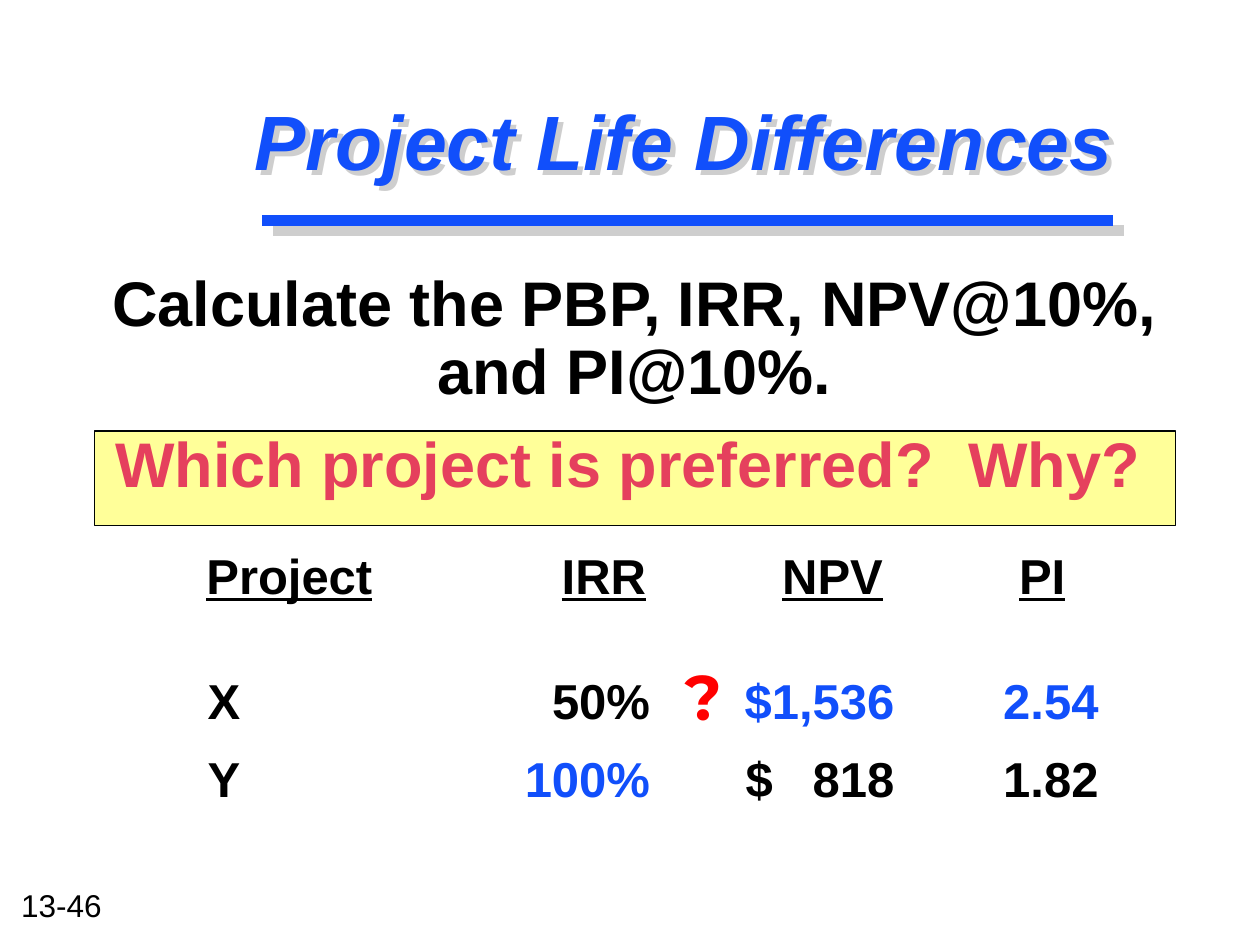
from lxml import etree
from pptx import Presentation
from pptx.dml.color import RGBColor
from pptx.enum import shapes, text
from pptx.oxml.ns import qn
from pptx.util import Inches, Pt

BLUE = RGBColor(0x11, 0x4F, 0xFB)
GREY = RGBColor(0xCE, 0xCE, 0xCE)
YELLOW = RGBColor(0xFF, 0xFF, 0x99)
EDGE = RGBColor(0x00, 0x04, 0x04)
BLACK = RGBColor(0x00, 0x00, 0x00)
ROSE = RGBColor(0xE5, 0x40, 0x5D)
RED = RGBColor(0xFF, 0x00, 0x00)


def place(holder, left, top, width, height):
    holder.left, holder.top = Inches(left), Inches(top)
    holder.width, holder.height = Inches(width), Inches(height)
    holder.text_frame.word_wrap = True
    holder.text_frame.auto_size = text.MSO_AUTO_SIZE.NONE


prs = Presentation()
prs.slide_width, prs.slide_height = Inches(10), Inches(7.5)
slide = prs.slides.add_slide(prs.slide_layouts[1])
title, task = slide.placeholders

# Band behind the question
band = slide.shapes.add_shape(
    shapes.MSO_SHAPE.RECTANGLE, Inches(0.75), Inches(3.42), Inches(8.58), Inches(0.75))
band.shadow.inherit = False
band.fill.solid()
band.fill.fore_color.rgb = YELLOW
band.line.color.rgb = EDGE
band.line.width = Pt(1)
slide.shapes._spTree.insert(2, band._element)

# Title with its shadow and double rule
place(title, 1.92, 0.31, 8, 1.6)
title.text_frame.text = "Project Life Differences"
title.text_frame.vertical_anchor = text.MSO_ANCHOR.MIDDLE
heading = title.text_frame.paragraphs[0]
heading.alignment = text.PP_ALIGN.LEFT
heading_font = heading.runs[0].font
heading_font.name, heading_font.size = "Arial", Pt(44)
heading_font.bold = heading_font.italic = True
heading_font.color.rgb = BLUE
title.fill.background()
effects = etree.SubElement(title._element.spPr, qn("a:effectLst"))
shadow = etree.SubElement(effects, qn("a:outerShdw"), dist=str(Pt(4)), dir="2700000")
etree.SubElement(shadow, qn("a:srgbClr"), val=str(GREY))

for left, top, colour in ((2.17, 1.83, GREY), (2.08, 1.75, BLUE)):
    rule = slide.shapes.add_connector(
        shapes.MSO_CONNECTOR.STRAIGHT,
        Inches(left), Inches(top), Inches(left + 6.75), Inches(top))
    rule.line.color.rgb = colour
    rule.line.width = Pt(6)
    etree.SubElement(rule._element.spPr, qn("a:effectLst"))

# Task and question
place(task, 0.62, 2.11, 8.83, 2.06)
task.text_frame.text = "Calculate the PBP, IRR, NPV@10%, and PI@10%.\nWhich project is preferred?  Why?"
for line, colour, before, right in zip(
        task.text_frame.paragraphs, (BLACK, ROSE), (0, 7.2), (0, 0.1)):
    props = line._p.get_or_add_pPr()
    for side, margin in (("marL", 0), ("marR", right), ("indent", 0)):
        props.set(side, str(Inches(margin)))
    etree.SubElement(props, qn("a:buNone"))
    line.alignment = text.PP_ALIGN.CENTER
    line.line_spacing = 0.9
    line.space_before, line.space_after = Pt(before), Pt(7.2)
    font = line.runs[0].font
    font.name, font.size, font.bold = "Arial", Pt(36), True
    font.color.rgb = colour

# Project figures, the better value of each measure in blue
figures = slide.shapes.add_textbox(0, 0, 0, 0)
place(figures, 0.47, 4.28, 9.17, 2.56)
heads = [("Project", 1.07), ("IRR", 3.89), ("NPV", 5.64), ("PI", 7.52)]
head_pieces = []
for head, position in heads:
    head_pieces += [("\t", BLACK, False), (head, BLACK, True)]
name_tab, irr_tab, dollar_tab, npv_tab, pi_tab = (
    (1.08, "l"), (4.59, "r"), (5.35, "l"), (6.53, "r"), (8.15, "r"))
rows = [
    (head_pieces, [(position, "l") for head, position in heads], 0),
    ([("\tX\t50%", BLACK, False), ("\t$1,536\t2.54", BLUE, False)],
     [name_tab, irr_tab, npv_tab, pi_tab], 32),
    ([("\tY", BLACK, False), ("\t100%", BLUE, False), ("\t$\t818\t1.82", BLACK, False)],
     [name_tab, irr_tab, dollar_tab, npv_tab, pi_tab], 5.6),
]
for number, (pieces, tabs, before) in enumerate(rows):
    line = figures.text_frame.add_paragraph() if number else figures.text_frame.paragraphs[0]
    stops = etree.SubElement(line._p.get_or_add_pPr(), qn("a:tabLst"))
    for position, alignment in tabs:
        etree.SubElement(stops, qn("a:tab"), pos=str(Inches(position)), algn=alignment)
    line.space_before, line.space_after = Pt(before), Pt(5.6)
    for wording, colour, underlined in pieces:
        run = line.add_run()
        run.text = wording
        run.font.name, run.font.size, run.font.bold = "Arial", Pt(28), True
        run.font.color.rgb = colour
        run.font.underline = underlined

# Question mark and page number
labels = [
    ("?", 5.17, 5.17, 0.82, 1.42, "Montserrat", 36, RED, True, text.PP_ALIGN.CENTER),
    ("13-46", 0.07, 6.98, 0.86, 0.4, "Arial", 18, BLACK, False, text.PP_ALIGN.LEFT),
]
for wording, left, top, width, height, face, size, colour, bold, alignment in labels:
    label = slide.shapes.add_textbox(Inches(left), Inches(top), Inches(width), Inches(height))
    label.text_frame.word_wrap = False
    label.text_frame.text = wording
    line = label.text_frame.paragraphs[0]
    line.alignment = alignment
    font = line.runs[0].font
    font.name, font.size, font.bold = face, Pt(size), bold
    font.color.rgb = colour

prs.save("out.pptx")
